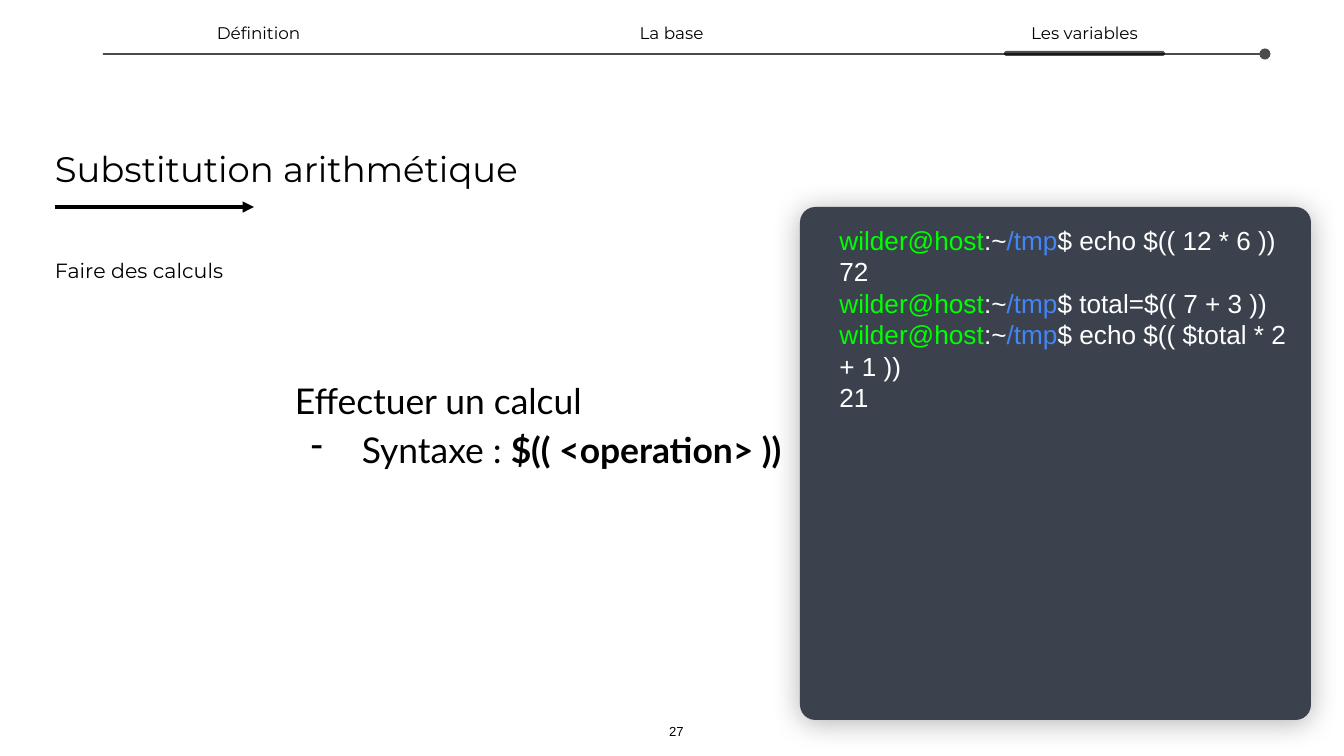
from dataclasses import dataclass

from lxml.etree import SubElement as Sub
from pptx import Presentation
from pptx.dml.color import RGBColor as Rgb
from pptx.enum.shapes import MSO_CONNECTOR as Conn, MSO_SHAPE as Shape
from pptx.enum.text import MSO_ANCHOR as Anchor, MSO_AUTO_SIZE as Auto, PP_ALIGN as Align
from pptx.oxml.ns import qn
from pptx.util import Pt

SCALE = 914400 / 134.4  # EMU per px


@dataclass(frozen=True)
class Theme:
    ink: str = "000000"
    panel: str = "3B424E"
    user: str = "00FF00"
    path_: str = "4285F4"
    pale: str = "FFFFFF"
    head: str = "Montserrat"
    body: str = "Lato"
    code: str = "Arial"
    big: int = 19
    sub: int = 11
    nav: int = 9
    page: int = 7
    term: int = 14


T = Theme()


def px(n):
    return round(n * SCALE)


def put(obj, vals):
    for key, val in vals.items():
        setattr(obj, key, val)


def tag(node, name, **vals):
    return Sub(node, qn("a:" + name), {k: str(v) for k, v in vals.items()})


def fade(props, pct):
    """Set the opacity of the solid fill inside props."""
    tag(props.find(qn("a:solidFill"))[0], "alpha", val=pct * 1000)


def frame(box, pads, **vals):
    """Set wrapping, insets (left, top, right, bottom) and more."""
    sides = ("margin_left", "margin_top", "margin_right", "margin_bottom")
    put(box.text_frame, {"word_wrap": True, **dict(zip(sides, map(px, pads))), **vals})


def write(box, lines, font, size, **form):
    """Fill a box; each line is a list of (text, colour, bold) runs."""
    text = box.text_frame
    for i, line in enumerate(lines):
        para = text.add_paragraph() if i else text.paragraphs[0]
        put(para, {"alignment": Align.LEFT, **form})
        for words, color, bold in line:
            run = para.add_run()
            run.text = words
            put(run.font, {"name": font, "size": Pt(size), "bold": bold})
            run.font.color.rgb = Rgb.from_string(color)


def label(slide, area, words, size, font=T.head, align=Align.LEFT, anchor=Anchor.MIDDLE):
    box = slide.shapes.add_textbox(*map(px, area))
    frame(box, (3, 3, 3, 3), vertical_anchor=anchor, auto_size=Auto.SHAPE_TO_FIT_TEXT)
    write(box, [[(words, T.ink, False)]], font, size, alignment=align)


def rule(slide, left, right, y, width, end, pct=100):
    """Draw a level line with a mark at its right end."""
    line = slide.shapes.add_connector(Conn.STRAIGHT, *map(px, (left, y, right, y)))
    line.line.color.rgb = Rgb.from_string(T.ink)
    line.line.width = Pt(width)
    props = line._element.spPr
    ln = props.find(qn("a:ln"))
    fade(ln, pct)
    tag(ln, "tailEnd", type=end)
    tag(props, "effectLst")


def block(slide, area, color, curve):
    shape = slide.shapes.add_shape(Shape.ROUNDED_RECTANGLE, *map(px, area))
    shape.adjustments[0] = curve
    shape.shadow.inherit = False
    shape.fill.solid()
    shape.fill.fore_color.rgb = Rgb.from_string(color)
    shape.line.fill.background()
    return shape


def syntax(slide):
    box = slide.shapes.add_textbox(*map(px, (290, 214, 511, 513)))
    # The deep bottom inset lifts the centred text
    frame(box, (5, 5, 5, 103), vertical_anchor=Anchor.MIDDLE)
    lines = [
        [("Effectuer un calcul", T.ink, False)],
        [("Syntaxe : ", T.ink, False), ("$(( <operation> ))", T.ink, True)],
    ]
    write(box, lines, T.body, T.big, line_spacing=1.15)
    item = box.text_frame.paragraphs[1]._p.get_or_add_pPr()
    item.set("marL", str(px(67)))
    item.set("indent", str(px(-51)))
    tag(tag(item, "buClr"), "srgbClr", val=T.ink)
    tag(item, "buChar", char="-")


def prompt(cmd):
    parts = (("wilder@host", T.user), (":~", T.pale), ("/tmp", T.path_), ("$ " + cmd, T.pale))
    return [(words, color, False) for words, color in parts]


def answer(words):
    return [(words, T.pale, False)]


def console(slide):
    shape = block(slide, (800, 207, 511, 513), T.panel, 0.03)
    glow = tag(shape._element.spPr.find(qn("a:effectLst")), "outerShdw",
               blurRad=Pt(15.8), dist=Pt(1.5), dir=90 * 60000, algn="bl", rotWithShape=0)
    tag(tag(glow, "srgbClr", val=T.ink), "alpha", val=30000)
    frame(shape, (35, 13, 13, 13), vertical_anchor=Anchor.TOP)
    lines = [
        prompt("echo $(( 12 * 6 ))"),
        answer("72"),
        prompt("total=$(( 7 + 3 ))"),
        prompt("echo $(( $total * 2 + 1 ))"),
        answer("21"),
    ]
    write(shape, lines, T.code, T.term)


def main():
    deck = Presentation()
    put(deck, {"slide_width": px(1344), "slide_height": px(756)})
    slide = deck.slides.add_slide(deck.slide_layouts[6])

    # Heading
    rule(slide, 55, 254, 207, 2, "triangle")
    label(slide, (52, 144, 754, 48), "Substitution arithmétique", T.big)
    label(slide, (52, 255, 194, 31), "Faire des calculs", T.sub)

    # Body and page number
    syntax(slide)
    label(slide, (661, 720, 31, 22), "27", T.page, T.code, Align.CENTER, Anchor.BOTTOM)

    # Progress bar with the current topic marked
    rule(slide, 103, 1265, 54, 1, "oval", 70)
    for i, topic in enumerate(("Définition", "La base", "Les variables")):
        label(slide, (153 + i * 413, 20, 211, 26), topic, T.nav, align=Align.CENTER)
    mark = block(slide, (1004, 51, 161, 5), T.ink, 0.5)
    fade(mark._element.spPr, 69)

    # Terminal
    console(slide)
    deck.save("out.pptx")


if __name__ == "__main__":
    main()
